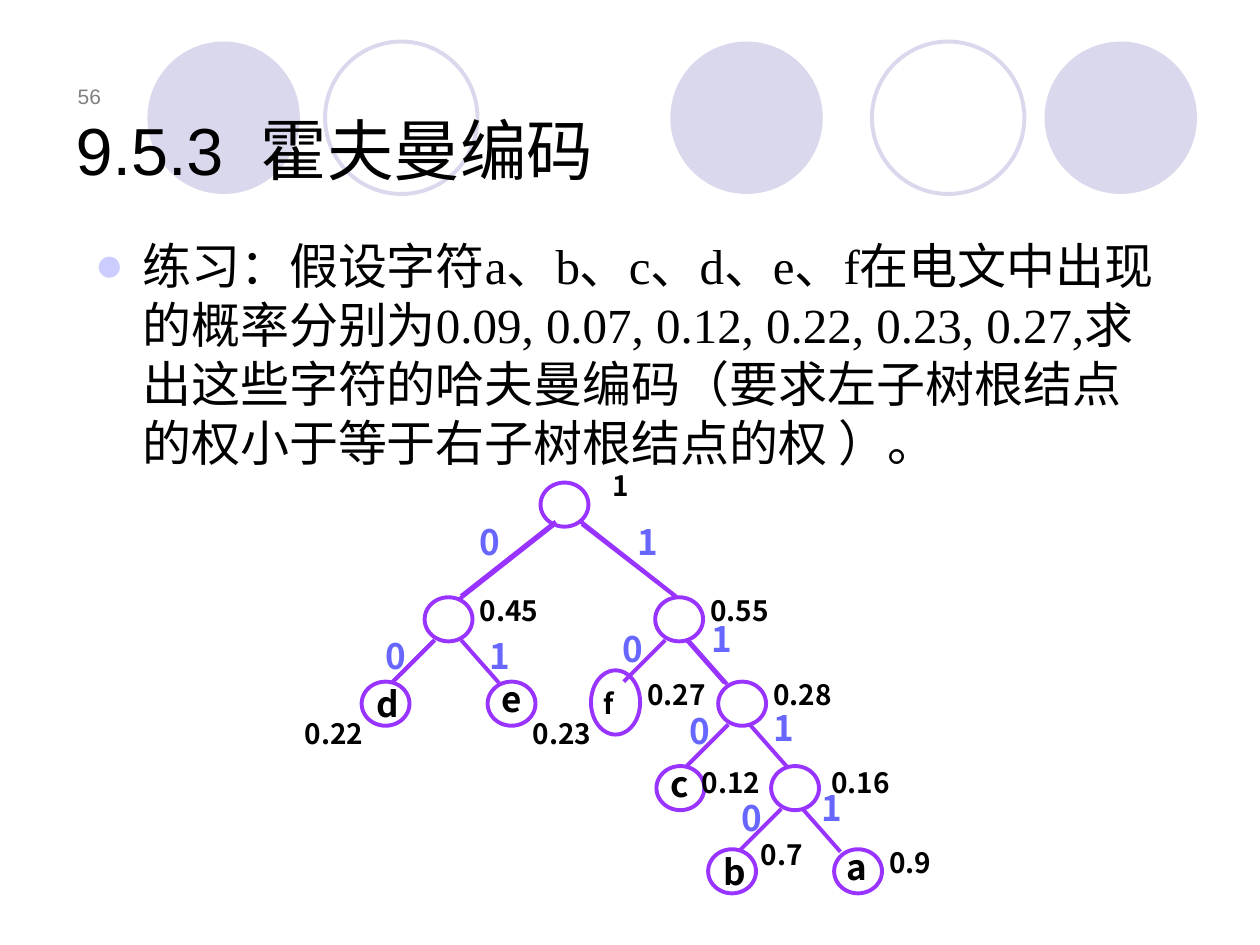
from lxml import etree
from pptx import Presentation
from pptx.dml.color import RGBColor
from pptx.enum.shapes import MSO_CONNECTOR, MSO_SHAPE
from pptx.enum.text import MSO_ANCHOR, PP_ALIGN
from pptx.oxml.ns import qn
from pptx.util import Inches, Pt

LAVENDER = RGBColor(0xD9, 0xD8, 0xEC)
BULLET = 'CCCCFF'
PURPLE = RGBColor(0x99, 0x33, 0xFF)
CODE_BLUE = RGBColor(0x67, 0x67, 0xFF)
GRAY = RGBColor(0x80, 0x80, 0x80)
BLACK = RGBColor(0, 0, 0)
TREE_FONT = 'Noto Sans CJK SC'
LEVELS = [3.83, 4.74, 5.41, 6.08, 6.74]
NODE_W, NODE_H = 0.38, 0.35

prs = Presentation()
prs.slide_width, prs.slide_height = Inches(10), Inches(7.5)
slide = prs.slides.add_slide(prs.slide_layouts[1])
title, body = slide.placeholders


def add_ellipse(left, top, width, height, line=None, fill=None):
    ellipse = slide.shapes.add_shape(
        MSO_SHAPE.OVAL, Inches(left), Inches(top), Inches(width), Inches(height))
    ellipse.shadow.inherit = False
    if fill is None:
        ellipse.fill.background()
        ellipse.line.color.rgb = line
        ellipse.line.width = Pt(2.25)
    else:
        ellipse.fill.solid()
        ellipse.fill.fore_color.rgb = fill
        ellipse.line.fill.background()
    return ellipse


def add_label(text, left, top, width, height, size, color=BLACK,
              font=TREE_FONT, bold=True, align=PP_ALIGN.JUSTIFY):
    label = slide.shapes.add_textbox(
        Inches(left), Inches(top), Inches(width), Inches(height))
    label.text_frame.word_wrap = True
    paragraph = label.text_frame.paragraphs[0]
    paragraph.text = text
    paragraph.alignment = align
    paragraph.font.size = Pt(size)
    paragraph.font.name = font
    paragraph.font.bold = bold
    paragraph.font.color.rgb = color
    return label


for left, filled in [(5.32, True), (8.29, True), (1.17, True), (6.92, False), (2.58, False)]:
    circle = add_ellipse(left, 0.33, 1.21, 1.21, LAVENDER, LAVENDER if filled else None)
    title.element.addprevious(circle.element)

page = add_label('56', 0.35, 0.44, 0.55, 0.47, 12, GRAY, 'Arial', False, PP_ALIGN.RIGHT)
page.text_frame.vertical_anchor = MSO_ANCHOR.BOTTOM

title.left, title.top, title.width, title.height = map(Inches, (0.5, 0.3, 9, 1.25))
title.text_frame.text = '9.5.3  霍夫曼编码'
title.text_frame.vertical_anchor = MSO_ANCHOR.BOTTOM
body.left, body.top, body.width, body.height = map(Inches, (0.65, 1.82, 8.71, 1.5))
body.text_frame.text = (
    '练习：假设字符a、b、c、d、e、f在电文中出现的概率分别为'
    '0.09, 0.07, 0.12, 0.22, 0.23, 0.27,求出这些字符的哈夫曼编码'
    '（要求左子树根结点的权小于等于右子树根结点的权 ）。')
for holder, font, size in [(title, 'Arial', 38), (body, 'Times New Roman', 28)]:
    paragraph = holder.text_frame.paragraphs[0]
    paragraph.alignment = PP_ALIGN.LEFT
    paragraph.font.name = font
    paragraph.font.size = Pt(size)
    paragraph.font.color.rgb = BLACK

exercise = body.text_frame.paragraphs[0]
exercise.space_before = Pt(5.6)
props = exercise._p.get_or_add_pPr()
props.set('marL', str(Inches(0.38)))
props.set('indent', str(-Inches(0.38)))
bullet_color = etree.Element(qn('a:buClr'))
etree.SubElement(bullet_color, qn('a:srgbClr')).set('val', BULLET)
bullet = etree.Element(qn('a:buChar'))
bullet.set('char', '●')
run_defaults = props.find(qn('a:defRPr'))
run_defaults.addprevious(bullet_color)
run_defaults.addprevious(bullet)

branches = [
    (3.66, 4.73, 4.41, 4.14), (3.64, 4.76, 4.39, 4.17),
    (5.37, 4.74, 4.62, 4.16), (5.36, 4.73, 4.61, 4.14),
    (3.44, 5.09, 3.11, 5.42), (5.47, 5.09, 5.77, 5.43),
]
for left, level, right_start in [(3.37, 1, 0.29), (5.2, 1, 0.25), (5.7, 2, 0.25), (6.12, 3, 0.25)]:
    start, end = LEVELS[level] + 0.34, LEVELS[level] + 0.67
    branches.append((left + 0.08, start, left - 0.25, end))
    branches.append((left + right_start, start, left + right_start + 0.3, end + 0.01))
for ends in branches:
    branch = slide.shapes.add_connector(MSO_CONNECTOR.STRAIGHT, *map(Inches, ends))
    branch.line.color.rgb = PURPLE
    branch.line.width = Pt(2.25)
    etree.SubElement(branch.element.spPr, qn('a:effectLst'))

nodes = [(4.29, 0), (3.37, 1), (5.2, 1), (2.87, 2), (3.87, 2),
         (5.7, 2), (5.21, 3), (6.12, 3), (5.62, 4), (6.62, 4)]
for left, level in nodes:
    add_ellipse(left, LEVELS[level], NODE_W, NODE_H, PURPLE)
add_ellipse(4.69, 5.32, 0.39, 0.51, PURPLE)

letters = [('d', 2.89, 5.37), ('e', 3.88, 5.33), ('c', 5.22, 6),
           ('b', 5.64, 6.7), ('a', 6.62, 6.66)]
for letter, left, top in letters:
    add_label(letter, left, top, 0.42, 0.43, 20)
add_label('f', 4.69, 5.4, 0.42, 0.37, 16)

weights = [('1', 4.76, 3.67), ('0.45', 3.71, 4.66), ('0.55', 5.54, 4.66),
           ('0.22', 2.32, 5.64), ('0.23', 4.13, 5.64), ('0.27', 5.04, 5.33),
           ('0.28', 6.04, 5.33), ('0.12', 5.47, 6.03), ('0.16', 6.5, 6.03),
           ('0.7', 5.94, 6.6), ('0.9', 6.96, 6.66)]
for weight, left, top in weights:
    add_label(weight, left, top, 0.8, 0.37, 16)

code_pairs = [((3.71, 4.08), (4.96, 4.08)), ((2.96, 4.99), (3.79, 4.99)),
              ((4.84, 4.93), (5.55, 4.85)), ((5.37, 5.58), (6.04, 5.56)),
              ((5.79, 6.27), (6.42, 6.19))]
for pair in code_pairs:
    for bit, (left, top) in enumerate(pair):
        add_label(str(bit), left, top, 0.42, 0.43, 20, CODE_BLUE)

prs.save("out.pptx")
